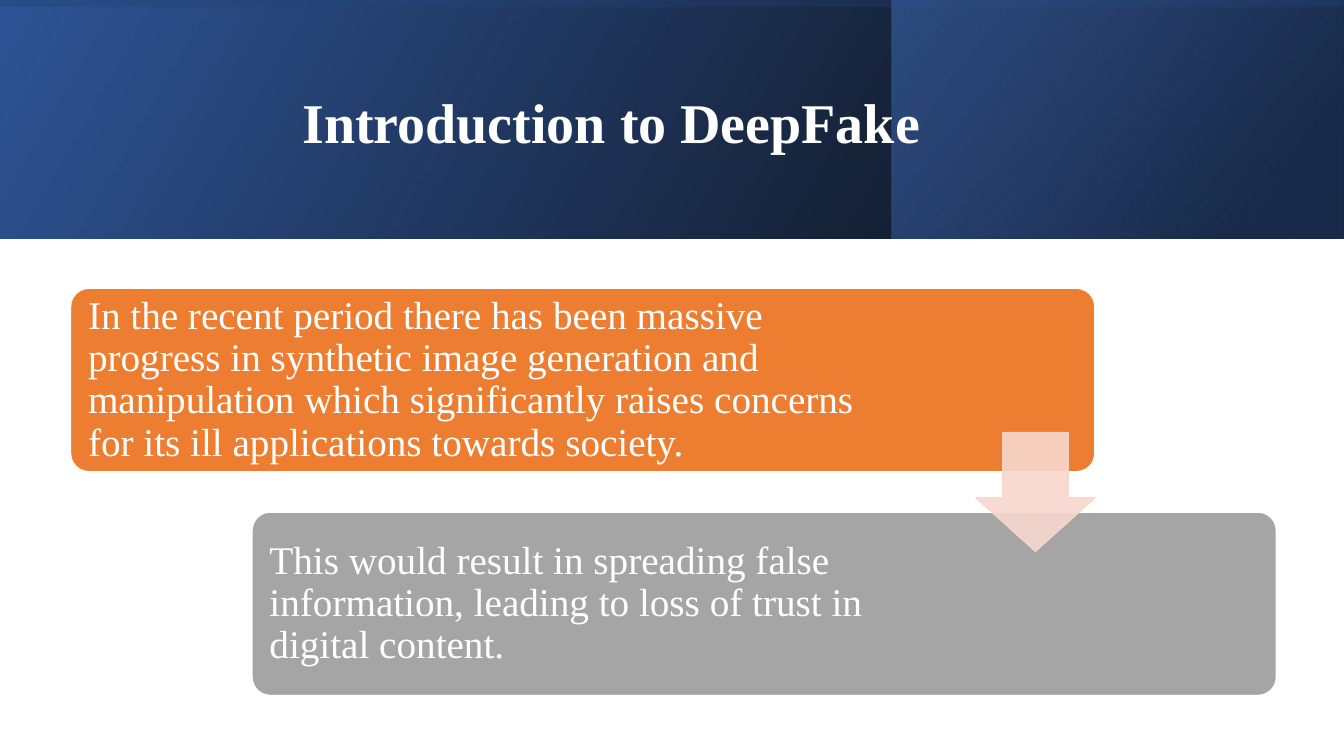
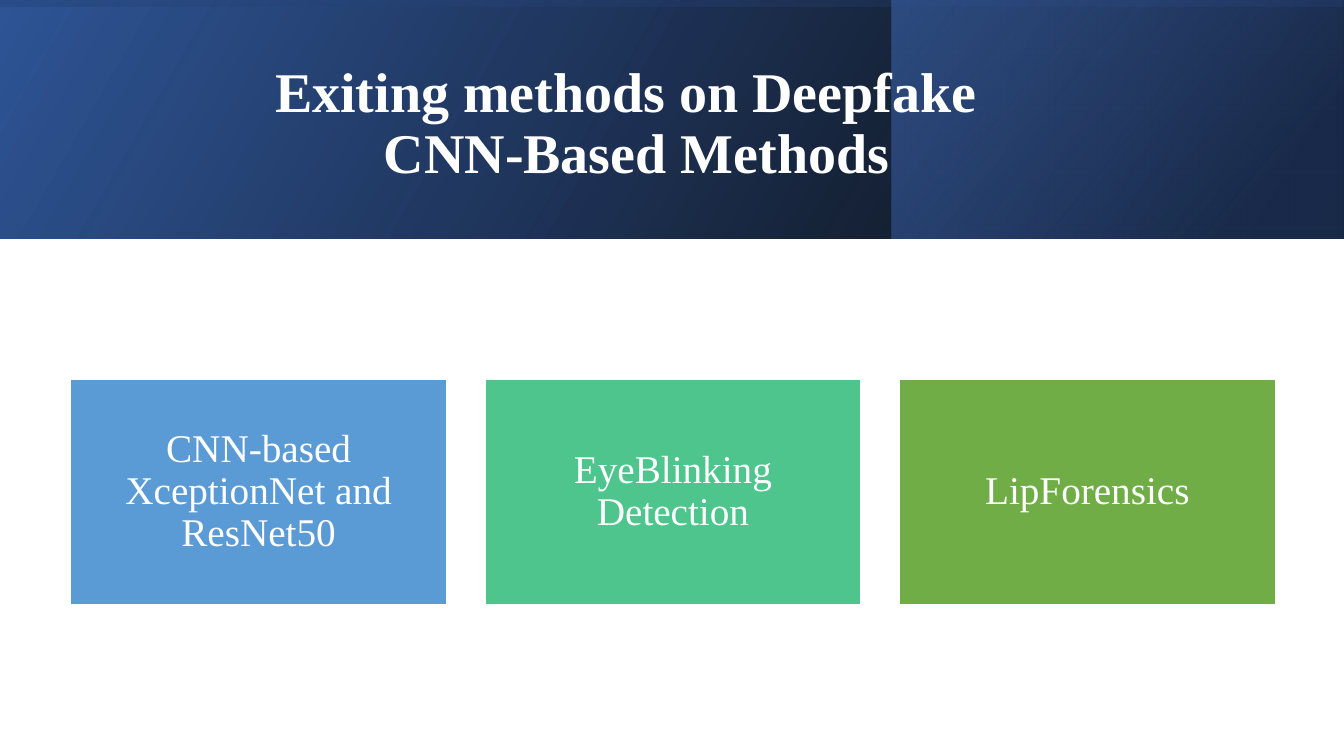
from dataclasses import dataclass

from lxml.etree import SubElement
from pptx import Presentation
from pptx.dml.color import RGBColor
from pptx.enum.shapes import MSO_SHAPE
from pptx.enum.text import MSO_ANCHOR, PP_ALIGN
from pptx.oxml.ns import qn
from pptx.util import Inches, Pt


@dataclass(frozen=True)
class Theme:
    font: str = "Times New Roman"
    title_size: int = 40
    body_size: int = 28
    line_spacing: float = 0.9
    white: str = "FFFFFF"
    black: str = "000000"
    navy: str = "203864"
    deep_blue: str = "2F5597"
    blue: str = "4472C4"
    orange: str = "ED7D31"
    gray: str = "A5A5A5"
    blush: str = "F8D7CE"
    sky: str = "5B9BD5"
    mint: str = "4DC58D"
    green: str = "70AD47"


THEME = Theme()
SLIDE_WIDTH = 13.33
SLIDE_HEIGHT = 7.5
BAND_HEIGHT = 2.37
BAND_OFFSET = (SLIDE_WIDTH - BAND_HEIGHT) / 2
BAND_LAYERS = [
    ((0, 0, SLIDE_WIDTH, BAND_HEIGHT), 0, 330,
     [(0, THEME.black, 96), (1, THEME.deep_blue, 100)]),
    ((8.84, 0, 4.48, BAND_HEIGHT), 0, 320,
     [(0.19, THEME.navy, 68), (1, THEME.blue, 48)]),
    ((BAND_OFFSET, -BAND_OFFSET, BAND_HEIGHT, SLIDE_WIDTH), 270, 350,
     [(0.23, THEME.deep_blue, 16), (0.99, THEME.black, 45)]),
]


def set_values(target, values):
    for name, value in values.items():
        setattr(target, name, value)


def set_alpha(color_element, percent):
    SubElement(color_element, qn("a:alpha")).set("val", str(percent * 1000))


class SlideBuilder:
    def __init__(self, theme):
        self.theme = theme
        self.deck = Presentation()
        set_values(self.deck, {
            "slide_width": Inches(SLIDE_WIDTH),
            "slide_height": Inches(SLIDE_HEIGHT),
        })
        self.page = None

    def add_page(self, title_lines, first_indent, next_indent):
        self.page = self.deck.slides.add_slide(self.deck.slide_layouts[6])
        for layer in BAND_LAYERS:
            self.add_gradient(*layer)
        self.add_title(title_lines, first_indent, next_indent)

    def add_shape(self, kind, place, adjustments=()):
        shape = self.page.shapes.add_shape(kind, *map(Inches, place))
        shape.shadow.inherit = False
        for index, value in enumerate(adjustments):
            shape.adjustments[index] = value
        return shape

    def add_gradient(self, place, rotation, angle, stops):
        layer = self.add_shape(MSO_SHAPE.RECTANGLE, place)
        layer.rotation = rotation
        properties = layer.element.spPr
        properties.find(qn("a:xfrm")).set("flipH", "1")
        layer.line.fill.background()
        layer.fill.gradient()
        layer.fill.gradient_angle = 360 - angle
        for stop, (position, color, _) in zip(layer.fill.gradient_stops, stops):
            stop.position = position
            stop.color.rgb = RGBColor.from_string(color)
        for element, (_, _, opacity) in zip(properties.iter(qn("a:srgbClr")), stops):
            set_alpha(element, opacity)

    def add_title(self, lines, first_indent, next_indent):
        box = self.page.shapes.add_textbox(*map(Inches, (1.51, 0.38, 10.63, 1.72)))
        set_values(box.text_frame, {
            "word_wrap": True,
            "vertical_anchor": MSO_ANCHOR.MIDDLE,
        })
        para = box.text_frame.paragraphs[0]
        para.line_spacing = self.theme.line_spacing
        properties = para._p.get_or_add_pPr()
        properties.set("marL", str(Inches(next_indent)))
        properties.set("indent", str(Inches(first_indent - next_indent)))
        for index, line in enumerate(lines):
            if index:
                para.add_line_break()
            self.add_span(para, line, self.theme.title_size, True)

    def add_span(self, para, text, size, bold=False):
        span = para.add_run()
        span.text = text
        set_values(span.font, {"name": self.theme.font, "size": Pt(size), "bold": bold})
        span.font.color.rgb = RGBColor.from_string(self.theme.white)

    def paint(self, shape, fill, line):
        shape.fill.solid()
        shape.fill.fore_color.rgb = RGBColor.from_string(fill)
        shape.line.color.rgb = RGBColor.from_string(line)
        shape.line.width = Pt(1)

    def add_panel(self, kind, place, fill, text, align, right_margin=0.12, adjustments=()):
        panel = self.add_shape(kind, place, adjustments)
        self.paint(panel, fill, self.theme.white)
        set_values(panel.text_frame, {
            "word_wrap": True,
            "vertical_anchor": MSO_ANCHOR.MIDDLE,
            "margin_left": Inches(0.12),
            "margin_right": Inches(right_margin),
            "margin_top": Inches(0.12),
            "margin_bottom": Inches(0.12),
        })
        para = panel.text_frame.paragraphs[0]
        set_values(para, {"alignment": align, "line_spacing": self.theme.line_spacing})
        self.add_span(para, text, self.theme.body_size)

    def add_down_arrow(self, place, color, opacity):
        arrow = self.add_shape(MSO_SHAPE.DOWN_ARROW, place, (0.55, 0.45))
        self.paint(arrow, color, color)
        for element in arrow.element.spPr.iter(qn("a:srgbClr")):
            set_alpha(element, opacity)


def build_introduction(builder):
    builder.add_page(["Introduction to DeepFake"], 1.39, 1.39)
    steps = [
        (0.7, 2.86, THEME.orange, 1.89,
         "In the recent period there has been massive progress in synthetic image "
         "generation and manipulation which significantly raises concerns for its "
         "ill applications towards society."),
        (2.5, 5.08, THEME.gray, 3.1,
         "This would result in spreading false information, leading to loss of "
         "trust in digital content."),
    ]
    for left, top, fill, right_margin, text in steps:
        builder.add_panel(MSO_SHAPE.ROUNDED_RECTANGLE, (left, top, 10.16, 1.82), fill,
                          text, PP_ALIGN.LEFT, right_margin, (0.1,))
    builder.add_down_arrow((9.68, 4.29, 1.18, 1.18), THEME.blush, 90)


def build_methods(builder):
    builder.add_page(["Exiting methods on Deepfake", "CNN-Based Methods"], 1.12, 2.2)
    methods = [
        ("CNN-based XceptionNet and ResNet50", THEME.sky),
        ("EyeBlinking Detection", THEME.mint),
        ("LipForensics", THEME.green),
    ]
    card_width, gap = 3.73, 0.38
    for index, (text, fill) in enumerate(methods):
        left = 0.7 + index * (card_width + gap)
        builder.add_panel(MSO_SHAPE.RECTANGLE, (left, 3.76, card_width, 2.24), fill,
                          text, PP_ALIGN.CENTER)


def main():
    builder = SlideBuilder(THEME)
    build_introduction(builder)
    build_methods(builder)
    builder.deck.save("out.pptx")


if __name__ == "__main__":
    main()
